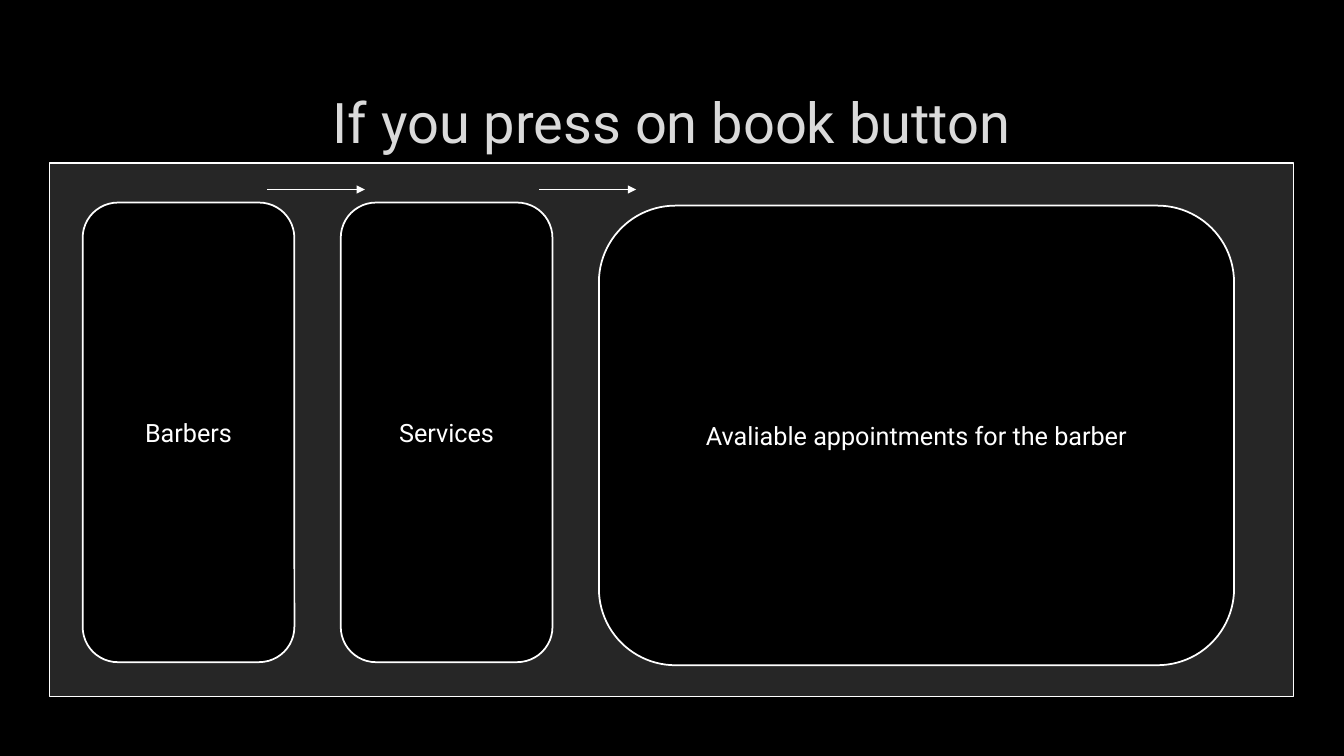
"""Build the booking flow slide with its panel, cards and arrows."""
import dataclasses

import lxml.etree
import pptx
import pptx.dml.color
import pptx.enum.shapes
import pptx.enum.text
import pptx.oxml
import pptx.oxml.ns
import pptx.util

Inches = pptx.util.Inches
Pt = pptx.util.Pt
RGBColor = pptx.dml.color.RGBColor
Shapes = pptx.enum.shapes.MSO_SHAPE


@dataclasses.dataclass(frozen=True)
class Theme:
    """Hold the colours, font and sizes."""
    background: str = "000000"
    panel: str = "262626"
    line: str = "FFFFFF"
    title: str = "DADADA"
    outline: str = "404040"
    font: str = "Roboto"
    title_size: float = 40
    label_size: float = 18
    border_width: float = 1.25
    arrow_width: float = 0.75


@dataclasses.dataclass(frozen=True)
class Box:
    """Describe a filled box and its label."""
    left: float
    top: float
    width: float
    height: float
    fill: str
    kind: Shapes = Shapes.ROUNDED_RECTANGLE
    label: str = ""


@dataclasses.dataclass(frozen=True)
class Arrow:
    """Describe a horizontal arrow."""
    start: float
    end: float
    top: float = 1.88


THEME = Theme()
CARD_HEIGHT = 4.56
BOXES = (
    Box(0.49, 1.62, 12.34, 5.29, THEME.panel, Shapes.RECTANGLE),
    Box(0.82, 2.01, 2.1, CARD_HEIGHT, THEME.background, label="Barbers"),
    Box(3.38, 2.01, 2.1, CARD_HEIGHT, THEME.background, label="Services"),
    Box(5.94, 2.04, 6.3, CARD_HEIGHT, THEME.background,
        label="Avaliable appointments for the barber"),
)
ARROWS = (Arrow(2.65, 3.62), Arrow(5.35, 6.31))


def write_text(shape, text: str, *, size: float, color: str):
    """Write centred text in a shape and return its span."""
    frame = shape.text_frame
    frame.word_wrap = True
    frame.vertical_anchor = pptx.enum.text.MSO_ANCHOR.MIDDLE
    para = frame.paragraphs[0]
    para.alignment = pptx.enum.text.PP_ALIGN.CENTER
    span = para.add_run()
    span.text = text
    span.font.name = THEME.font
    span.font.size = Pt(size)
    span.font.color.rgb = RGBColor.from_string(color)
    return span


def add_title(page, text: str) -> None:
    """Place the title and give its letters a faint outline."""
    title = page.shapes.title
    title.left, title.top = Inches(1), Inches(0.67)
    title.width, title.height = Inches(11.32), Inches(1.06)
    span = write_text(title, text, size=THEME.title_size, color=THEME.title)
    outline = pptx.oxml.parse_xml(
        f'<a:ln {pptx.oxml.ns.nsdecls("a")} w="9525"><a:solidFill>'
        f'<a:srgbClr val="{THEME.outline}"><a:alpha val="10000"/></a:srgbClr>'
        '</a:solidFill><a:prstDash val="solid"/></a:ln>')
    span.font._element.insert(0, outline)


def add_box(page, box: Box) -> None:
    """Draw a bordered box with an optional label."""
    shape = page.shapes.add_shape(
        box.kind, Inches(box.left), Inches(box.top),
        Inches(box.width), Inches(box.height))
    shape.shadow.inherit = False
    shape.fill.solid()
    shape.fill.fore_color.rgb = RGBColor.from_string(box.fill)
    shape.line.color.rgb = RGBColor.from_string(THEME.line)
    shape.line.width = Pt(THEME.border_width)
    if box.label:
        write_text(shape, box.label, size=THEME.label_size, color=THEME.line)


def add_arrow(page, arrow: Arrow) -> None:
    """Draw a line with a triangle at its end."""
    connector = page.shapes.add_connector(
        pptx.enum.shapes.MSO_CONNECTOR.STRAIGHT,
        Inches(arrow.start), Inches(arrow.top),
        Inches(arrow.end), Inches(arrow.top))
    connector.line.color.rgb = RGBColor.from_string(THEME.line)
    connector.line.width = Pt(THEME.arrow_width)
    qualified = pptx.oxml.ns.qn
    properties = connector._element.spPr
    lxml.etree.SubElement(properties.find(qualified("a:ln")),
                          qualified("a:tailEnd"), type="triangle")
    lxml.etree.SubElement(properties, qualified("a:effectLst"))


def main() -> None:
    """Build and save the deck."""
    deck = pptx.Presentation()
    deck.slide_width, deck.slide_height = Inches(13.33), Inches(7.5)
    page = deck.slides.add_slide(deck.slide_layouts[5])
    page.background.fill.solid()
    page.background.fill.fore_color.rgb = RGBColor.from_string(THEME.background)
    add_title(page, "If you press on book button")
    for box in BOXES:
        add_box(page, box)
    for arrow in ARROWS:
        add_arrow(page, arrow)
    deck.save("out.pptx")


if __name__ == "__main__":
    main()
